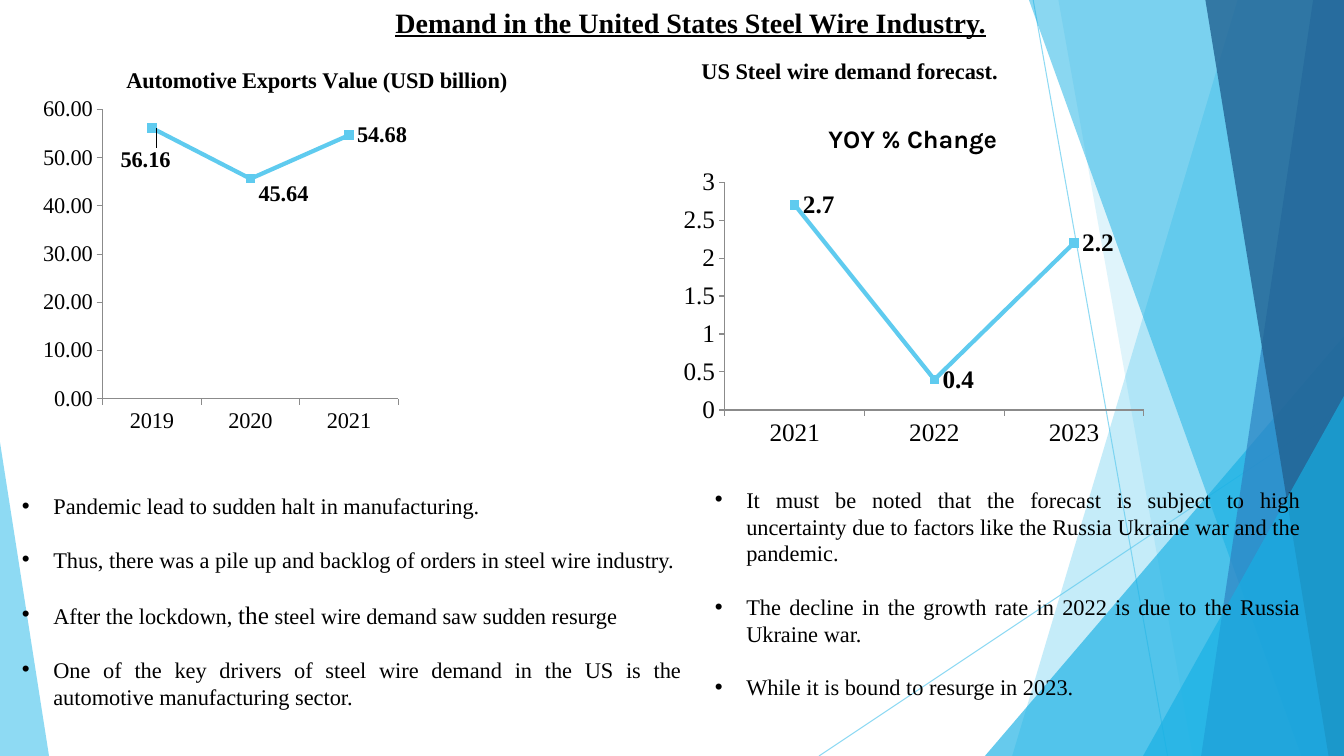
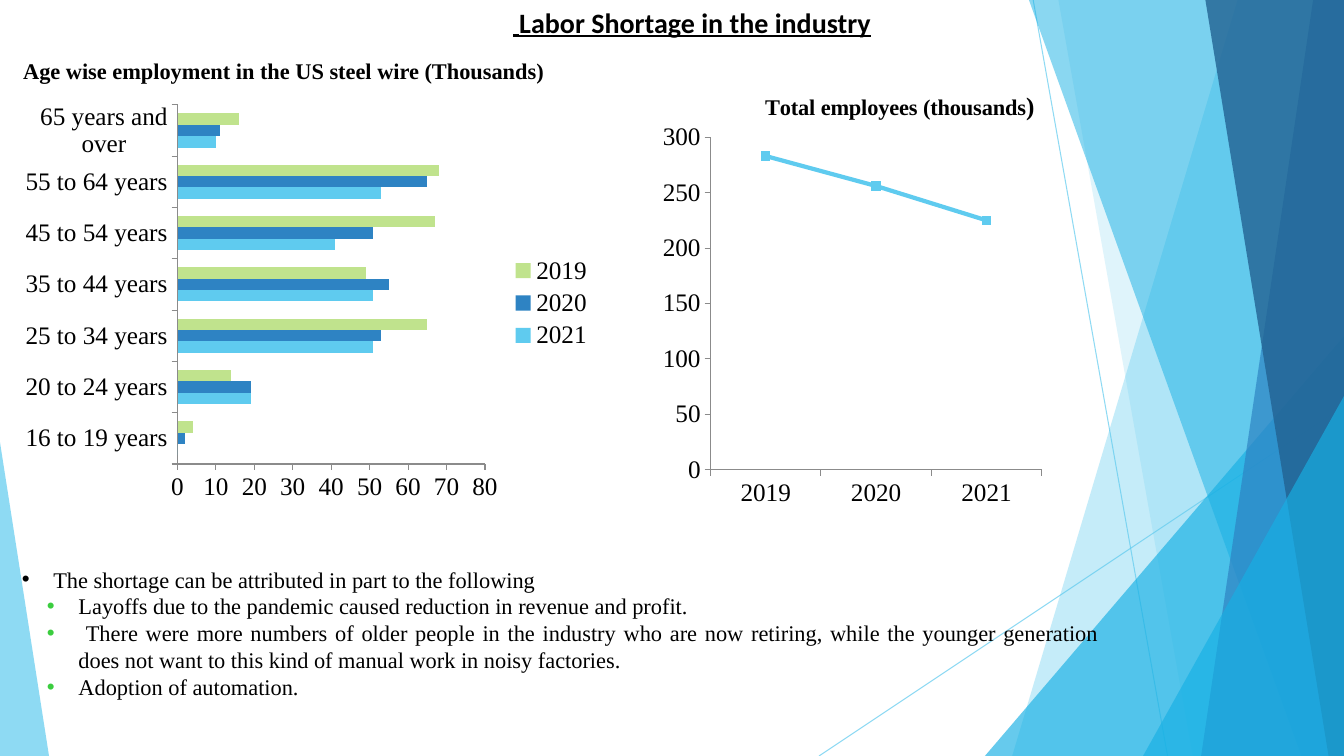
from dataclasses import dataclass

from lxml import etree
from pptx import Presentation
from pptx.chart.data import CategoryChartData
from pptx.dml.color import RGBColor
from pptx.enum.chart import (XL_CHART_TYPE, XL_LABEL_POSITION, XL_LEGEND_POSITION,
                             XL_MARKER_STYLE, XL_TICK_MARK)
from pptx.enum.shapes import MSO_CONNECTOR, MSO_SHAPE
from pptx.enum.text import MSO_ANCHOR, MSO_AUTO_SIZE, PP_ALIGN
from pptx.oxml.ns import qn
from pptx.util import Pt

LINE, BAR = XL_CHART_TYPE.LINE_MARKERS, XL_CHART_TYPE.BAR_CLUSTERED
RIGHT = XL_LABEL_POSITION.RIGHT
SIDE = XL_LEGEND_POSITION.RIGHT
SQUARE = XL_MARKER_STYLE.SQUARE
OUT, NONE = XL_TICK_MARK.OUTSIDE, XL_TICK_MARK.NONE
STRAIGHT = MSO_CONNECTOR.STRAIGHT
WEDGE = MSO_SHAPE.ISOSCELES_TRIANGLE
TOP, FIXED = MSO_ANCHOR.TOP, MSO_AUTO_SIZE.NONE
LEFT, CENTER, JUSTIFY = PP_ALIGN.LEFT, PP_ALIGN.CENTER, PP_ALIGN.JUSTIFY


@dataclass(frozen=True)
class Theme:
    wide: int = 960
    high: int = 540
    serif: str = "Times New Roman"
    sans: str = "Calibri"
    chart: str = "Karla"
    ink: str = "000000"
    sky: str = "5FCBEF"
    aqua: str = "17B0E4"
    blue: str = "2E83C3"
    navy: str = "226292"
    lime: str = "C0E38D"
    green: str = "3BCD3F"
    axis: str = "8B8B8B"
    head: int = 20
    large: int = 18
    body: int = 16
    gap: int = 19


T = Theme()


def rgb(code):
    return RGBColor.from_string(code)


def pts(*nums):
    return [Pt(n) for n in nums]


def style(font, size=T.body, face=T.serif, bold=False):
    font.size, font.name, font.bold = Pt(size), face, bold
    font.color.rgb = rgb(T.ink)


def write(para, parts, size=T.body, face=T.serif, bold=False, under=False):
    """Add runs; a part is a text or a (text, size) pair."""
    for part in parts:
        text, own = (part, size) if isinstance(part, str) else part
        run = para.add_run()
        run.text = text
        style(run.font, own, face, bold)
        if under:
            run.font.underline = True


def fade(shape, alpha):
    """Set the opacity of the shape's only colour, in percent."""
    tone = shape.element.xpath("./p:spPr//a:srgbClr")[0]
    etree.SubElement(tone, qn("a:alpha")).set("val", str(alpha * 1000))


def place(host, index, **spots):
    """Give a chart part a manual layout as its child at this index."""
    for old in host.findall(qn("c:layout")):
        host.remove(old)
    layout = etree.Element(qn("c:layout"))
    host.insert(index, layout)
    manual = etree.SubElement(layout, qn("c:manualLayout"))
    for key, val in spots.items():
        etree.SubElement(manual, qn("c:" + key)).set("val", str(val))


class Deck:
    def __init__(self):
        self.file = Presentation()
        self.file.slide_width, self.file.slide_height = pts(T.wide, T.high)
        self.base = self.file.slide_layouts[5]

    def start(self, parts, left, width, face):
        """Begin a slide with its title."""
        self.page = self.file.slides.add_slide(self.base)
        title = self.page.shapes.title
        title.left, title.top, title.width, title.height = pts(left, 0, width, 31.5)
        frame = title.text_frame
        frame.word_wrap, frame.auto_size = True, FIXED
        frame.vertical_anchor = TOP
        para = frame.paragraphs[0]
        para.alignment = CENTER
        write(para, parts, T.head, face, True, True)

    def paint(self, shape, color, alpha):
        shape.shadow.inherit = False
        shape.fill.solid()
        shape.fill.fore_color.rgb = rgb(color)
        shape.line.fill.background()
        fade(shape, alpha)
        return shape

    def thread(self, *ends):
        line = self.page.shapes.add_connector(STRAIGHT, *pts(*ends))
        line.line.color.rgb = rgb(T.sky)
        line.line.width = Pt(0.75)
        fade(line, 70)
        etree.SubElement(line.element.spPr, qn("a:effectLst"))
        return line

    def band(self, top, foot, color, alpha):
        """Draw a full-height band from a slanted edge to the right side."""
        pen = self.page.shapes.build_freeform(Pt(top), 0, 1.0)
        corners = [(T.wide, 0), (T.wide, T.high), (foot, T.high)]
        pen.add_line_segments([pts(*spot) for spot in corners])
        return self.paint(pen.convert_to_shape(), color, alpha)

    def wedge(self, left, top, width, tip, color, alpha):
        """Draw a triangle that stands on the bottom edge."""
        box = pts(left, top, width, T.high - top)
        shape = self.page.shapes.add_shape(WEDGE, *box)
        shape.adjustments[0] = tip
        return self.paint(shape, color, alpha)

    def backdrop(self):
        """Draw the shared art and move it to the layout."""
        art = [
            self.thread(738, 0, 834, 540),
            self.thread(960, 290, 585, 540),
            self.band(884, 723, T.sky, 36),
            self.band(756, 852, T.sky, 20),
            self.wedge(703.5, 240, 256.5, 1, T.aqua, 66),
            self.band(735, 929.5, T.aqua, 50),
            self.band(938, 858, T.blue, 70),
            self.band(861, 949, T.navy, 80),
            self.wedge(816.5, 283, 143.5, 1, T.aqua, 66),
            self.wedge(0, 316, 35, 0, T.sky, 70),
        ]
        for num, shape in enumerate(art, 100):
            shape.element.xpath(".//p:cNvPr")[0].set("id", str(num))
            self.base.shapes.element.append(shape.element)

    def box(self, *spot):
        frame = self.page.shapes.add_textbox(*pts(*spot)).text_frame
        frame.word_wrap = True
        return frame

    def label(self, text, left, width):
        para = self.box(left, 37.5, width, 27).paragraphs[0]
        para.alignment = LEFT
        write(para, [text], bold=True)

    def bullets(self, spot, items, gap=0):
        """Write (level, parts) items as a bullet list."""
        frame = self.box(*spot)
        for num, (level, parts) in enumerate(items):
            para = frame.add_paragraph() if num else frame.paragraphs[0]
            para.alignment, para.level = JUSTIFY, level
            if num:
                para.space_before = Pt(gap)
            props = para._p.get_or_add_pPr()
            props.set("marL", str(Pt(22.5 + 18 * level)))
            props.set("indent", str(Pt(-22.5)))
            if level:
                tone = etree.SubElement(props, qn("a:buClr"))
                etree.SubElement(tone, qn("a:srgbClr")).set("val", T.green)
            etree.SubElement(props, qn("a:buFont")).set("typeface", "Arial")
            etree.SubElement(props, qn("a:buChar")).set("char", "•")
            write(para, parts)

    def chart(self, kind, spot, cats, series, plot, top, step, size=T.large, form="General"):
        """Add a chart; series holds (name, values, colour) rows."""
        data = CategoryChartData(number_format=form)
        data.categories = cats
        for name, vals, _ in series:
            data.add_series(name, vals)
        chart = self.page.shapes.add_chart(kind, *pts(*spot), data).chart
        style(chart.font, T.large, T.chart)
        chart.has_title = chart.has_legend = False
        for axis in (chart.category_axis, chart.value_axis):
            axis.has_major_gridlines = False
            axis.major_tick_mark, axis.minor_tick_mark = OUT, NONE
            axis.format.line.color.rgb = rgb(T.axis)
            axis.format.line.width = Pt(0.75)
            style(axis.tick_labels.font, size)
        scale = chart.value_axis
        scale.minimum_scale, scale.maximum_scale, scale.major_unit = 0, top, step
        scale.tick_labels.number_format = form
        scale.tick_labels.number_format_is_linked = False
        chart.plots[0].vary_by_categories = False
        for row, (_, _, color) in zip(chart.plots[0].series, series):
            if kind == LINE:
                self.trace(row, color)
            else:
                row.format.fill.solid()
                row.format.fill.fore_color.rgb = rgb(color)
        x, y, w, h = plot
        place(chart.element.xpath(".//c:plotArea")[0], 0, layoutTarget="inner",
              xMode="edge", yMode="edge", x=x, y=y, w=w, h=h)
        return chart

    def trace(self, row, color):
        row.smooth = False
        row.format.line.color.rgb = rgb(color)
        row.format.line.width = Pt(3)
        mark = row.marker
        mark.style, mark.size = SQUARE, 6
        mark.format.fill.solid()
        mark.format.fill.fore_color.rgb = rgb(color)
        mark.format.line.fill.background()

    def caption(self, chart, parts, size=T.body, face=T.serif):
        chart.has_title = True
        chart.chart_title.include_in_layout = False
        write(chart.chart_title.text_frame.paragraphs[0], parts, size, face, True)

    def values(self, chart, size, form, shifts=()):
        """Show value labels; shifts move the first ones off their place."""
        row = chart.plots[0].series[0]
        tags = row.data_labels
        tags.show_value, tags.position = True, RIGHT
        tags.number_format, tags.number_format_is_linked = form, False
        style(tags.font, size, bold=True)
        for num, (x, y) in enumerate(shifts):
            tag = row.points[num].data_label
            tag.position = RIGHT
            style(tag.font, size, bold=True)
            place(chart.element.xpath(".//c:dLbl")[num], 1, x=x, y=y)

    def legend(self, chart):
        chart.has_legend = True
        chart.legend.position = SIDE
        chart.legend.include_in_layout = False
        style(chart.legend.font, T.large)


def demand(deck):
    deck.start(["Demand in the United States Steel Wire Industry."], 114.5, 758, T.serif)
    deck.backdrop()
    cars = deck.chart(LINE, (17, 33, 352, 283), ["2019", "2020", "2021"],
                      [("Series 1", (56.16, 45.64, 54.68), T.sky)],
                      (0.16, 0.16, 0.6, 0.73), 60, 10, T.body, "0.00")
    deck.caption(cars, ["Automotive Exports Value (USD billion)"])
    place(cars.element.xpath(".//c:title")[0], 1, xMode="edge", yMode="edge", x=0.2, y=0.04)
    deck.values(cars, T.body, "0.00", [(-0.08, 0.08), (0, 0.04)])
    growth = deck.chart(LINE, (480, 75, 344, 250.5), ["2021", "2022", "2023"],
                        [("YOY % Change", (2.7, 0.4, 2.2), T.sky)],
                        (0.11, 0.22, 0.87, 0.65), 3, 0.5)
    deck.caption(growth, ["YOY % Change"], T.large, T.chart)
    deck.values(growth, T.large, "General")
    deck.bullets((8.5, 348, 485.5, 165), [
        (0, ["Pandemic lead to sudden halt in manufacturing."]),
        (0, ["Thus, there was a pile up and backlog of orders in steel wire industry."]),
        (0, ["After the lockdown, ", ("the", T.large), " steel wire demand saw sudden resurge"]),
        (0, ["One of the key drivers of steel wire demand in the US is the "
             "automotive manufacturing sector."]),
    ], T.gap)
    deck.label("US Steel wire demand forecast.", 494, 233)
    deck.bullets((503.5, 343.5, 432.5, 163), [
        (0, ["It must be noted that the forecast is subject to high uncertainty due to "
             "factors like the Russia Ukraine war and the pandemic."]),
        (0, ["The decline in the growth rate in 2022 is due to the Russia Ukraine war."]),
        (0, ["While it is bound to resurge in 2023."]),
    ], T.gap)


def labor(deck):
    deck.start([(" ", T.large), "Labor Shortage in the industry"], 196, 597, T.sans)
    deck.label("Age wise employment in the US steel wire (Thousands)", 9.5, 546)
    spans = ["16 to 19", "20 to 24", "25 to 34", "35 to 44", "45 to 54", "55 to 64"]
    ages = deck.chart(BAR, (8.5, 69, 422.5, 295),
                      [span + " years" for span in spans] + ["65 years and over"],
                      [("2021", (0, 19, 51, 51, 41, 53, 10), T.sky),
                       ("2020", (2, 19, 53, 55, 51, 65, 11), T.blue),
                       ("2019", (4, 14, 65, 49, 67, 68, 16), T.lime)],
                      (0.28, 0.02, 0.52, 0.87), 80, 10)
    ages.plots[0].gap_width, ages.plots[0].overlap = 150, 0
    deck.legend(ages)
    name = "Total employees (thousands"
    staff = deck.chart(LINE, (431.5, 52.5, 422.5, 325.5), ["2019", "2020", "2021"],
                       [(name + ")", (283, 256, 225), T.sky)],
                       (0.18, 0.14, 0.56, 0.73), 300, 50)
    deck.caption(staff, [name, (")", T.large)])
    deck.bullets((8.5, 400.5, 783.5, 106.5), [
        (0, ["The shortage can be attributed in part to the following"]),
        (1, ["Layoffs due to the pandemic caused reduction in revenue and profit."]),
        (1, [" There were more numbers of older people in the industry who are now retiring, "
             "while the younger generation does not want to this kind of manual work in "
             "noisy factories."]),
        (1, ["Adoption of automation."]),
    ])


def main():
    deck = Deck()
    demand(deck)
    labor(deck)
    deck.file.save("out.pptx")


if __name__ == "__main__":
    main()
